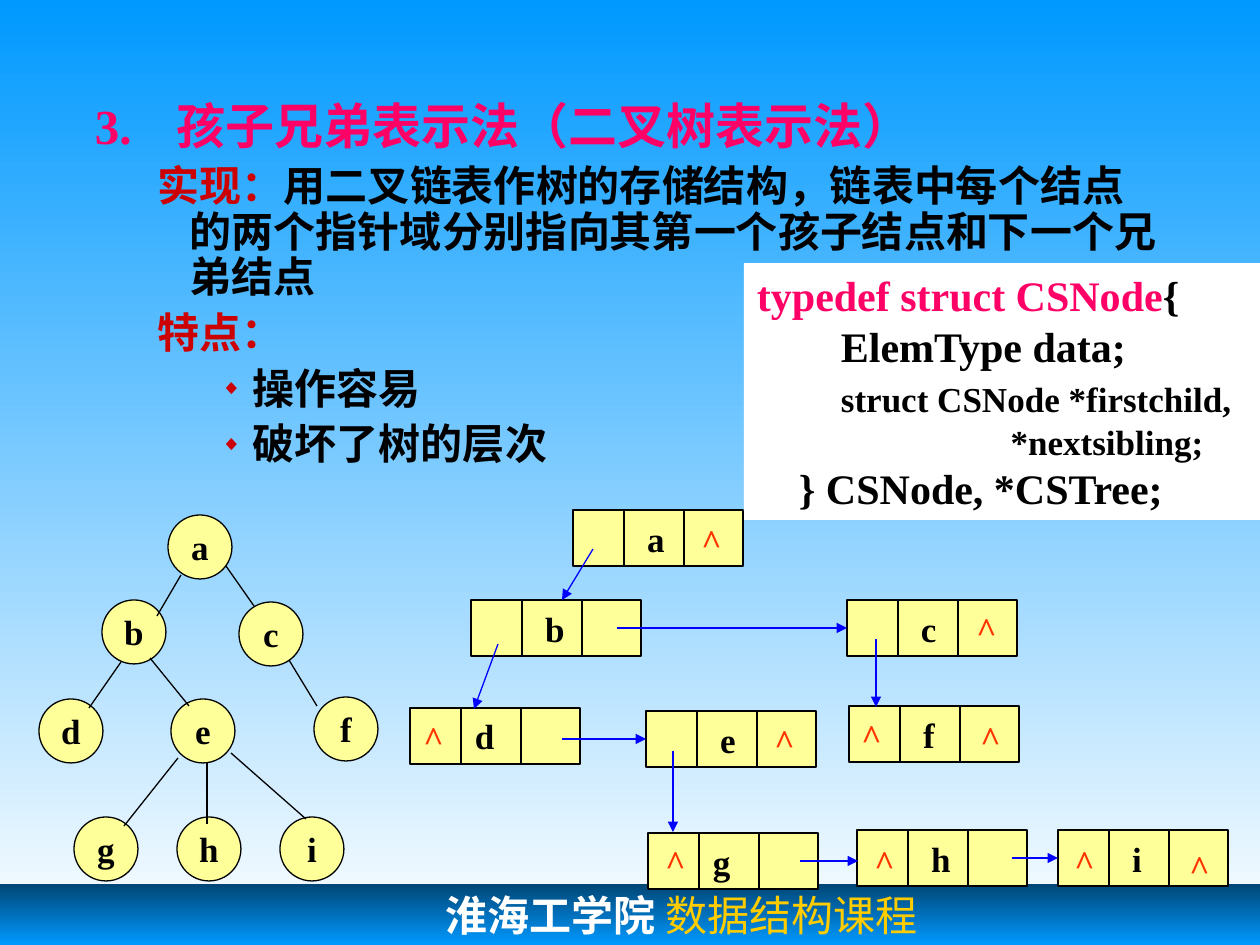
from lxml import etree
from pptx import Presentation
from pptx.dml.color import RGBColor
from pptx.enum.shapes import MSO_CONNECTOR, MSO_SHAPE
from pptx.enum.text import MSO_ANCHOR, MSO_AUTO_SIZE, PP_ALIGN
from pptx.oxml.ns import qn
from pptx.util import Pt

LINE = MSO_CONNECTOR.STRAIGHT
RECT, OVAL = MSO_SHAPE.RECTANGLE, MSO_SHAPE.OVAL
TOP, MIDDLE = MSO_ANCHOR.TOP, MSO_ANCHOR.MIDDLE
LEFT, CENTER = PP_ALIGN.LEFT, PP_ALIGN.CENTER
NO_FIT = MSO_AUTO_SIZE.NONE

SCALE = 914400 / 126
WIDE, HIGH = 1260, 945
SERIF, MONO = "Times New Roman", "DejaVu Sans Mono"
COLORS = {"sky": "0099FF", "white": "FFFFFF", "navy": "004675", "gold": "FFCC00",
          "pink": "FF0066", "red": "CC0000", "black": "000000", "node": "FFFF99",
          "blue": "0000FF", "mark": "FF3300"}

BALL = 64
TREE = {"a": (168, 515), "b": (102, 600), "c": (239, 602), "d": (39, 699),
        "e": (171, 699), "f": (314, 697), "g": (74, 817), "h": (177, 817),
        "i": (280, 817)}
EDGES = [(181, 575, 157, 616), (121, 662, 89, 708), (226, 566, 254, 606),
         (150, 658, 189, 706), (289, 660, 317, 706), (207, 763, 207, 824),
         (178, 758, 124, 826), (231, 753, 306, 819)]

CELL_W, CELL_H = 170, 56
SPLITS = (51, 111)
# name: left, top, label offset, offsets of the null marks
CELLS = {"a": (573, 510, 74, [(116, 2)]),
         "b": (471, 600, 74, []),
         "c": (847, 600, 74, [(117, 1)]),
         "d": (410, 708, 65, [(1, 1)]),
         "e": (646, 711, 74, [(116, 1)]),
         "f": (849, 706, 74, [(0, 1), (119, 3)]),
         "g": (648, 833, 65, [(5, 0)]),
         "h": (857, 830, 74, [(5, 3)]),
         "i": (1058, 830, 74, [(4, 3), (119, 8)])}
# start and end of each pointer, and the record whose left side it joins
LINKS = [(593, 549, 562, 600, None), (498, 644, 474, 709, None),
         (617, 628, 847, 628, "c"), (562, 739, 646, 739, "e"),
         (673, 751, 673, 832, None), (800, 861, 858, 861, None),
         (1012, 858, 1058, 858, "i"), (876, 639, 876, 707, None)]


def px(*nums):
    return [round(num * SCALE) for num in nums]


def rgb(name):
    return RGBColor.from_string(COLORS[name])


def add_run(para, text, color, size, bold=True, face=SERIF):
    run = para.add_run()
    run.text = text
    run.font.name, run.font.size, run.font.bold = face, Pt(size), bold
    run.font.color.rgb = rgb(color)


def shade(fill, first, last):
    """Fill from top to bottom with two colours."""
    fill.gradient()
    fill.gradient_angle = 270
    for stop, name in zip(fill.gradient_stops, (first, last)):
        stop.color.rgb = rgb(name)


def set_frame(frame, anchor, wrap, left=13):
    frame.auto_size = NO_FIT
    frame.word_wrap, frame.vertical_anchor = wrap, anchor
    frame.margin_left, frame.margin_right = px(left, 13)
    frame.margin_top = frame.margin_bottom = px(6)[0]


def add_box(slide, kind, box, fill=None, edge=None):
    shape = slide.shapes.add_shape(kind, *px(*box))
    shape.shadow.inherit = False
    if fill:
        shape.fill.solid()
        shape.fill.fore_color.rgb = rgb(fill)
    if edge:
        shape.line.color.rgb = rgb(edge)
        shape.line.width = Pt(0.75)
    else:
        shape.line.fill.background()
    return shape


def add_line(slide, ends, color="black", arrow=False):
    line = slide.shapes.add_connector(LINE, *px(*ends))
    line.line.color.rgb = rgb(color)
    line.line.width = Pt(0.75)
    if arrow:
        etree.SubElement(line.line._get_or_add_ln(), qn("a:tailEnd"), type="triangle")
    etree.SubElement(line._element.spPr, qn("a:effectLst"))
    return line


def add_bar(slide, box):
    bar = add_box(slide, RECT, box)
    shade(bar.fill, "navy", "sky")
    set_frame(bar.text_frame, TOP, True, 446)
    para = bar.text_frame.paragraphs[0]
    para.alignment = LEFT
    add_run(para, "淮海工学院", "white", 24, face=MONO)
    add_run(para, " 数据结构课程", "gold", 24, bold=False)


def set_bullet(para, bullet):
    props = para._p.get_or_add_pPr()
    if not bullet:
        etree.SubElement(props, qn("a:buNone"))
        return
    tint = etree.SubElement(props, qn("a:buClr"))
    etree.SubElement(tint, qn("a:srgbClr"), val=COLORS["red"])
    etree.SubElement(props, qn("a:buSzPct"), val="50000")
    etree.SubElement(props, qn("a:buChar"), char=bullet)


def add_body(slide, box):
    body = slide.placeholders[1]
    body.left, body.top, body.width, body.height = px(*box)
    frame = body.text_frame
    set_frame(frame, TOP, True)
    # level, margin, indent, space before, size, bullet, runs
    rows = [
        (2, 208, -82, 0, 28, None, [("3.\t孩子兄弟表示法（二叉树表示法）", "pink")]),
        (3, 221, -32, 6, 24, None, [
            ("实现：", "red"),
            ("用二叉链表作树的存储结构，链表中每个结点的两个指针域"
             "分别指向其第一个孩子结点和下一个兄弟结点", "black")]),
        (3, 221, -32, 6, 24, None, [("特点：", "red")]),
        (4, 284, -32, 6, 24, "◆", [("操作容易", "black")]),
        (4, 284, -32, 6, 24, "◆", [("破坏了树的层次", "black")]),
    ]
    for num, (level, margin, indent, space, size, bullet, runs) in enumerate(rows):
        para = frame.add_paragraph() if num else frame.paragraphs[0]
        para.level = level
        set_bullet(para, bullet)
        props = para._p.get_or_add_pPr()
        for key, value in zip(("marL", "indent"), px(margin, indent)):
            props.set(key, str(value))
        para.line_spacing, para.space_before = 0.9, Pt(space)
        for text, color in runs:
            add_run(para, text, color, size)


def add_code(slide, box):
    frame = add_box(slide, RECT, box, "white").text_frame
    set_frame(frame, MIDDLE, True)
    rows = [
        [("typedef struct CSNode", "pink", 24), ("{", "black", 24)],
        [("　　ElemType data;", "black", 24)],
        [("　　", "black", 24), ("struct CSNode *firstchild,", "black", 20)],
        [("                             *nextsibling;", "black", 20)],
        [("　} CSNode, *CSTree;", "black", 24)],
    ]
    for num, runs in enumerate(rows):
        para = frame.add_paragraph() if num else frame.paragraphs[0]
        para.alignment = LEFT
        for run in runs:
            add_run(para, *run)


def add_tree(slide):
    for name, (left, top) in TREE.items():
        ball = add_box(slide, OVAL, (left, top, BALL, BALL), "node", "black")
        set_frame(ball.text_frame, MIDDLE, False)
        para = ball.text_frame.paragraphs[0]
        para.alignment = CENTER
        add_run(para, name, "black", 20)
    for ends in EDGES:
        add_line(slide, ends)


def add_cell(slide, name, left, top, inset, marks):
    """Draw a record of three fields with its null marks."""
    cell = add_box(slide, RECT, (left, top, CELL_W, CELL_H), "node", "black")
    set_frame(cell.text_frame, MIDDLE, True, inset)
    para = cell.text_frame.paragraphs[0]
    para.alignment = LEFT
    add_run(para, name, "black", 20)
    for split in SPLITS:
        add_line(slide, (left + split, top, left + split, top + CELL_H))
    for dx, dy in marks:
        mark = slide.shapes.add_textbox(*px(left + dx, top + dy, 45, 56))
        set_frame(mark.text_frame, MIDDLE, False)
        para = mark.text_frame.paragraphs[0]
        para.alignment = CENTER
        add_run(para, "^", "mark", 20)
    return cell


def add_list(slide):
    cells = {name: add_cell(slide, name, *row) for name, row in CELLS.items()}
    for *ends, goal in LINKS:
        link = add_line(slide, ends, "blue", True)
        if goal:
            link.end_connect(cells[goal], 1)


def main():
    deck = Presentation()
    deck.slide_width, deck.slide_height = px(WIDE, HIGH)
    slide = deck.slides.add_slide(deck.slide_layouts[1])
    title = slide.shapes.title._element
    title.getparent().remove(title)
    shade(slide.background.fill, "sky", "white")
    add_bar(slide, (0, 884, WIDE, HIGH - 884))
    add_body(slide, (-44, 96, 1218, 388))
    add_code(slide, (744, 263, 516, 257))
    add_tree(slide)
    add_list(slide)
    deck.save("out.pptx")


if __name__ == "__main__":
    main()
